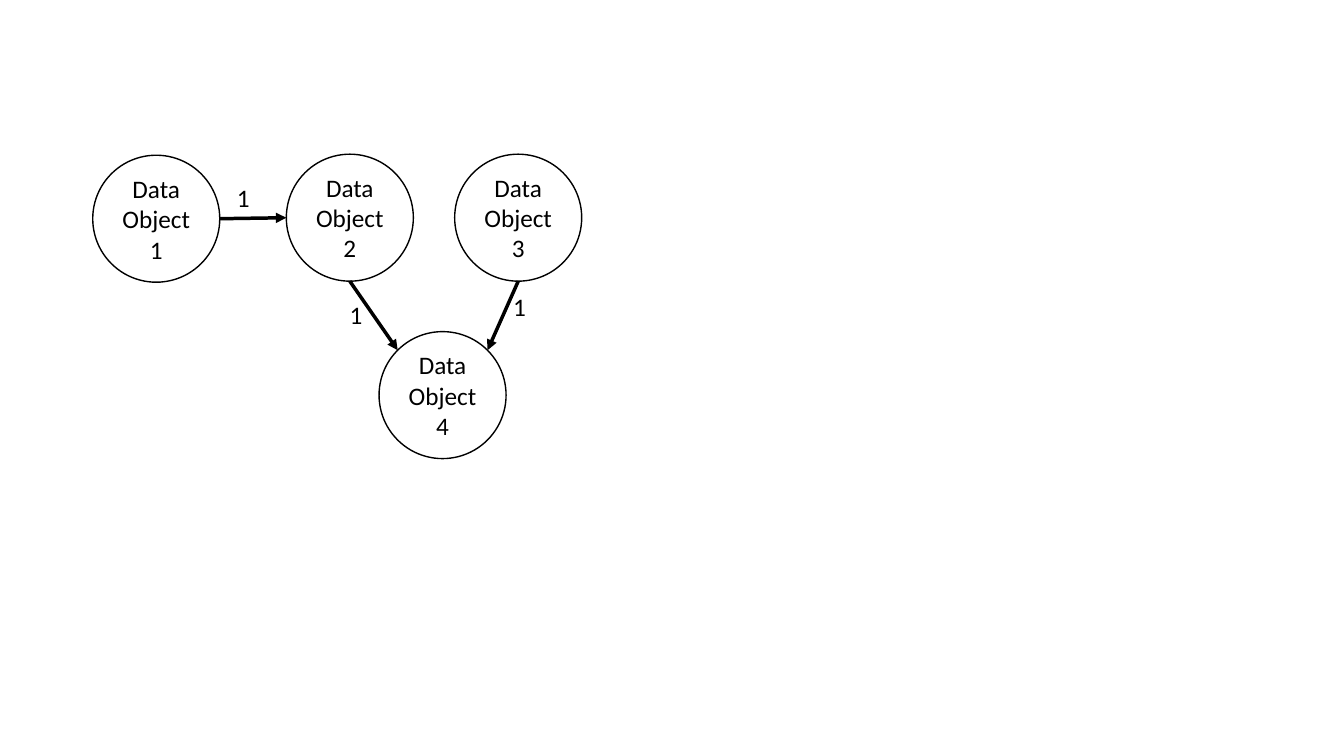
from math import cos, radians, sin

from lxml import etree
from pptx import Presentation
from pptx.dml.color import RGBColor
from pptx.enum.shapes import MSO_CONNECTOR, MSO_SHAPE
from pptx.enum.text import MSO_ANCHOR, PP_ALIGN
from pptx.oxml.ns import qn
from pptx.util import Inches, Pt

CIRCLE = MSO_SHAPE.FLOWCHART_CONNECTOR
STRAIGHT = MSO_CONNECTOR.STRAIGHT
MIDDLE = MSO_ANCHOR.MIDDLE
CENTER, LEFT = PP_ALIGN.CENTER, PP_ALIGN.LEFT

BLACK, WHITE = "000000", "FFFFFF"
DIAMETER = 1.26
LABEL_SIZE = (0.48, 0.4)
GRAPH_BOX = (0.92, 1.53, 4.85, 3.02)

# Object number: left and top of its circle within the graph box
NODES = {1: (0, 0.01), 2: (1.92, 0), 3: (3.59, 0), 4: (2.84, 1.76)}

# Source, angle, target, angle, label left and top within the graph box.
# Angles run clockwise from the right-hand side of a circle.
EDGES = [
    (1, 0, 2, 180, 1.33, 0.23),
    (2, 90, 4, 225, 2.45, 1.39),
    (3, 90, 4, 315, 4.07, 1.31),
]


def color(value):
    """Turn a hex string into a colour."""
    return RGBColor.from_string(value)


def write(shape, text, alignment):
    """Put one black 18 point paragraph into a shape."""
    frame = shape.text_frame
    frame.word_wrap = True
    paragraph = frame.paragraphs[0]
    paragraph.text = text
    paragraph.alignment = alignment
    paragraph.font.name = "Calibri"
    paragraph.font.size = Pt(18)
    paragraph.font.color.rgb = color(BLACK)


def add_node(slide, number, left, top):
    """Draw the circle of one data object."""
    shape = slide.shapes.add_shape(
        CIRCLE, Inches(left), Inches(top), Inches(DIAMETER), Inches(DIAMETER))
    shape.shadow.inherit = False
    shape.fill.solid()
    shape.fill.fore_color.rgb = color(WHITE)
    shape.line.color.rgb = color(BLACK)
    shape.line.width = Pt(1)
    shape.text_frame.vertical_anchor = MIDDLE
    write(shape, f"Data Object\v{number}", CENTER)


def rim_point(left, top, angle):
    """Return the point on a circle's rim at an angle."""
    radius = DIAMETER / 2
    return (Inches(left + radius + radius * cos(radians(angle))),
            Inches(top + radius + radius * sin(radians(angle))))


def add_arrow(slide, start, end):
    """Draw a thick straight arrow between two points."""
    arrow = slide.shapes.add_connector(STRAIGHT, *start, *end)
    arrow.line.color.rgb = color(BLACK)
    arrow.line.width = Pt(2.5)
    etree.SubElement(arrow.line._get_or_add_ln(), qn("a:tailEnd"), type="triangle")
    etree.SubElement(arrow._element.spPr, qn("a:effectLst"))


def add_label(slide, text, left, top):
    """Write the weight of an arrow."""
    width, height = LABEL_SIZE
    label = slide.shapes.add_textbox(
        Inches(left), Inches(top), Inches(width), Inches(height))
    write(label, text, LEFT)


def add_graph(slide, box):
    """Draw the data objects and their weighted arrows in a box."""
    left, top = box[:2]
    places = {number: (left + x, top + y) for number, (x, y) in NODES.items()}
    for number, place in places.items():
        add_node(slide, number, *place)
    for source, source_angle, target, target_angle, x, y in EDGES:
        add_arrow(slide, rim_point(*places[source], source_angle),
                  rim_point(*places[target], target_angle))
        add_label(slide, "1", left + x, top + y)


def main():
    """Build and save the presentation."""
    presentation = Presentation()
    presentation.slide_width = Inches(13.33)
    presentation.slide_height = Inches(7.5)
    slide = presentation.slides.add_slide(presentation.slide_layouts[6])
    add_graph(slide, GRAPH_BOX)
    presentation.save("out.pptx")


main()
